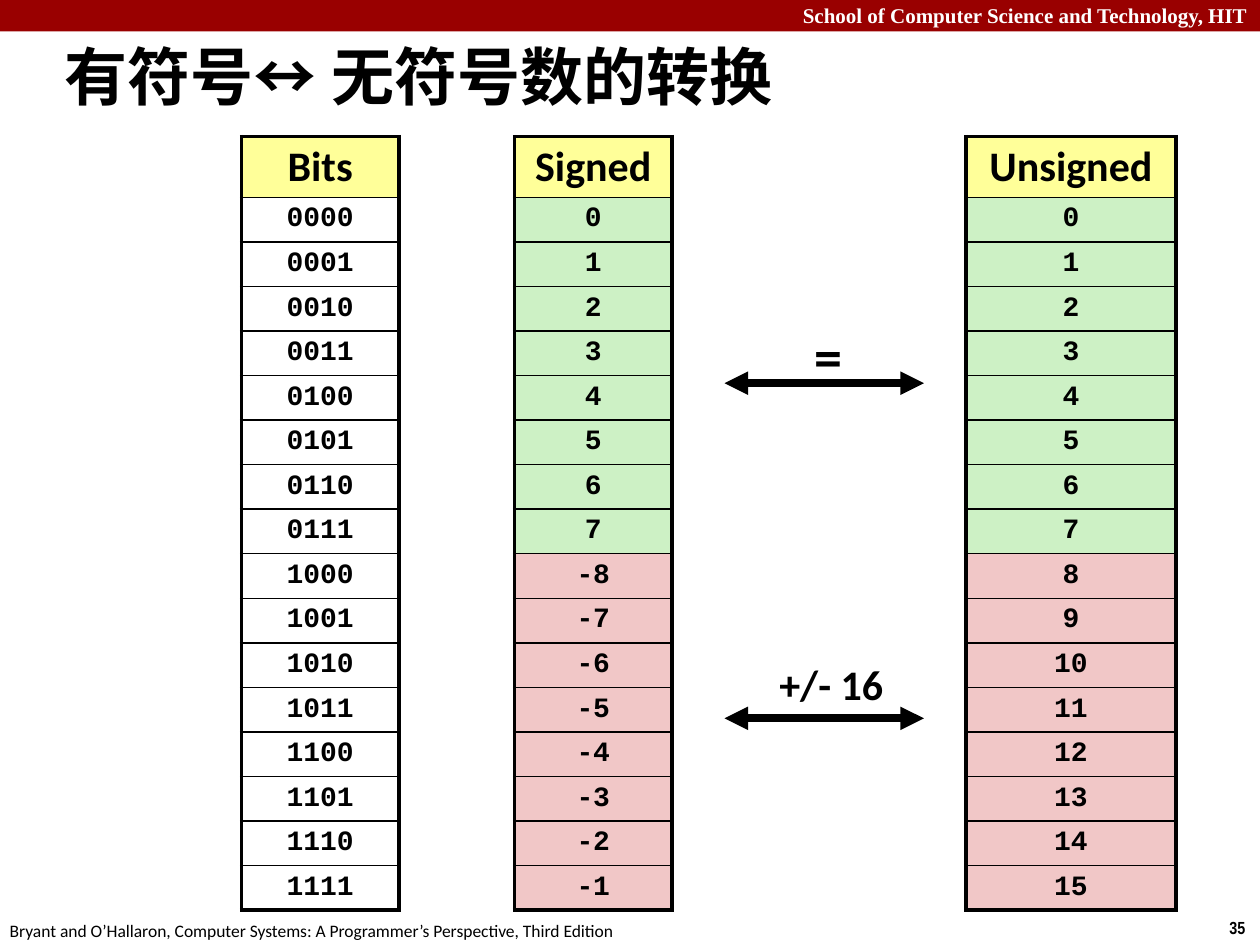
import pptx
import pptx.util
import pptx.dml.color
import pptx.enum.text
import pptx.enum.shapes
import lxml.etree

Pt = pptx.util.Pt
ALIGN = pptx.enum.text.PP_ALIGN
ANCHOR = pptx.enum.text.MSO_ANCHOR
SHAPES = pptx.enum.shapes

BLACK, WHITE, RED = "000000", "FFFFFF", "990000"
YELLOW, GREEN, PINK = "FFFF99", "CDF1C5", "F1C7C7"
NAMESPACE = "http://schemas.openxmlformats.org/drawingml/2006/main"

BITS = 4
COUNT = 2 ** BITS
HALF = COUNT // 2
TABLE_TOP, HEADER_HEIGHT, ROW_HEIGHT = 78, 34.8, 25.4
HALF_FILLS = [GREEN] * HALF + [PINK] * HALF

TABLES = [
    ("Signed", 294, 90, [n if n < HALF else n - COUNT for n in range(COUNT)], HALF_FILLS),
    ("Unsigned", 552, 120, list(range(COUNT)), HALF_FILLS),
    ("Bits", 138, 90, [f"{n:0{BITS}b}" for n in range(COUNT)], [None] * COUNT),
]

TEXTS = [
    ("School of Computer Science and Technology, HIT", (0, -2, 720, 21.6),
     dict(size=12, font="Times New Roman", color=WHITE, bold=True, align=ALIGN.RIGHT)),
    ("35", (695.5, 520.5, 24.5, 19.4), dict(size=10, font="Arial Narrow", bold=True, wrap=False)),
    ("Bryant and O’Hallaron, Computer Systems: A Programmer’s Perspective, Third Edition",
     (-1.5, 522, 366, 19.4), dict(size=10)),
    ("有符号↔ 无符号数的转换", (32, 19.5, 450, 47.5),
     dict(size=36, bold=True, margins=(5, 2))),
]

ARROW_LEFT, ARROW_RIGHT = 414, 528
ARROWS = [
    (219, "=", (462, 180, 23, 46),
     dict(size=32, bold=True, align=ALIGN.CENTER, margins=(3.6, 3.6), wrap=False)),
    (410.5, "+/- 16", (438, 372, 74, 37),
     dict(size=24, bold=True, align=ALIGN.CENTER, anchor=ANCHOR.MIDDLE, wrap=False)),
]


def rgb(value):
    return pptx.dml.color.RGBColor.from_string(value)


def element(parent, tag, **attributes):
    return lxml.etree.SubElement(parent, f"{{{NAMESPACE}}}{tag}", **attributes)


def write(frame, text, size=16, font="Calibri", color=BLACK, bold=False, align=ALIGN.LEFT,
          spacing=None):
    para = frame.paragraphs[0]
    para.alignment = align
    if spacing:
        para.line_spacing = spacing
    span = para.add_run()
    span.text = text
    span.font.size = Pt(size)
    span.font.name = font
    span.font.bold = bold
    span.font.color.rgb = rgb(color)


def add_text(page, text, place, margins=(7.2, 3.6), anchor=ANCHOR.TOP, wrap=True, **style):
    frame = page.shapes.add_textbox(*map(Pt, place)).text_frame
    frame.word_wrap = wrap
    frame.vertical_anchor = anchor
    frame.margin_left = frame.margin_right = Pt(margins[0])
    frame.margin_top = frame.margin_bottom = Pt(margins[1])
    write(frame, text, **style)


def set_borders(cell, widths):
    properties = cell._tc.get_or_add_tcPr()
    for position, (tag, width) in enumerate(widths.items()):
        line = element(properties, tag, w=str(Pt(width)))
        element(element(line, "solidFill"), "srgbClr", val=BLACK)
        properties.insert(position, line)


def add_number_table(page, title, left, width, numbers, fills):
    height = HEADER_HEIGHT + COUNT * ROW_HEIGHT
    table = page.shapes.add_table(
        COUNT + 1, 1, Pt(left), Pt(TABLE_TOP), Pt(width), Pt(height)).table
    table.first_row = table.horz_banding = False
    rows = list(zip([title] + numbers, [YELLOW] + fills))
    for index, (value, fill) in enumerate(rows):
        header = index == 0
        table.rows[index].height = Pt(HEADER_HEIGHT if header else ROW_HEIGHT)
        cell = table.cell(index, 0)
        cell.margin_left = cell.margin_right = cell.margin_top = cell.margin_bottom = Pt(3.6)
        if fill:
            cell.fill.solid()
            cell.fill.fore_color.rgb = rgb(fill)
        else:
            cell.fill.background()
        set_borders(cell, {"lnL": 2.25, "lnR": 2.25, "lnT": 2.25 if header else 1,
                           "lnB": 2.25 if index == COUNT else 1})
        write(cell.text_frame, str(value), size=24 if header else 16,
              font="Calibri" if header else "Courier New",
              bold=True, align=ALIGN.CENTER, spacing=0.95)


def add_double_arrow(page, height):
    arrow = page.shapes.add_connector(
        SHAPES.MSO_CONNECTOR.STRAIGHT, Pt(ARROW_RIGHT), Pt(height), Pt(ARROW_LEFT), Pt(height))
    arrow.line.width = Pt(4.5)
    arrow.line.color.rgb = rgb(BLACK)
    line = arrow.line._get_or_add_ln()
    for tag in ("headEnd", "tailEnd"):
        element(line, tag, type="triangle")
    element(arrow._element.spPr, "effectLst")


def main():
    deck = pptx.Presentation()
    deck.slide_width, deck.slide_height = Pt(720), Pt(540)
    page = deck.slides.add_slide(deck.slide_layouts[6])
    band = page.shapes.add_shape(
        SHAPES.MSO_SHAPE.RECTANGLE, Pt(0), Pt(0), Pt(720), Pt(18))
    band.shadow.inherit = False
    band.fill.solid()
    band.fill.fore_color.rgb = rgb(RED)
    band.line.fill.background()
    for text, place, style in TEXTS:
        add_text(page, text, place, **style)
    for table in TABLES:
        add_number_table(page, *table)
    for height, label, place, style in ARROWS:
        add_double_arrow(page, height)
        add_text(page, label, place, **style)
    deck.save("out.pptx")


if __name__ == "__main__":
    main()
